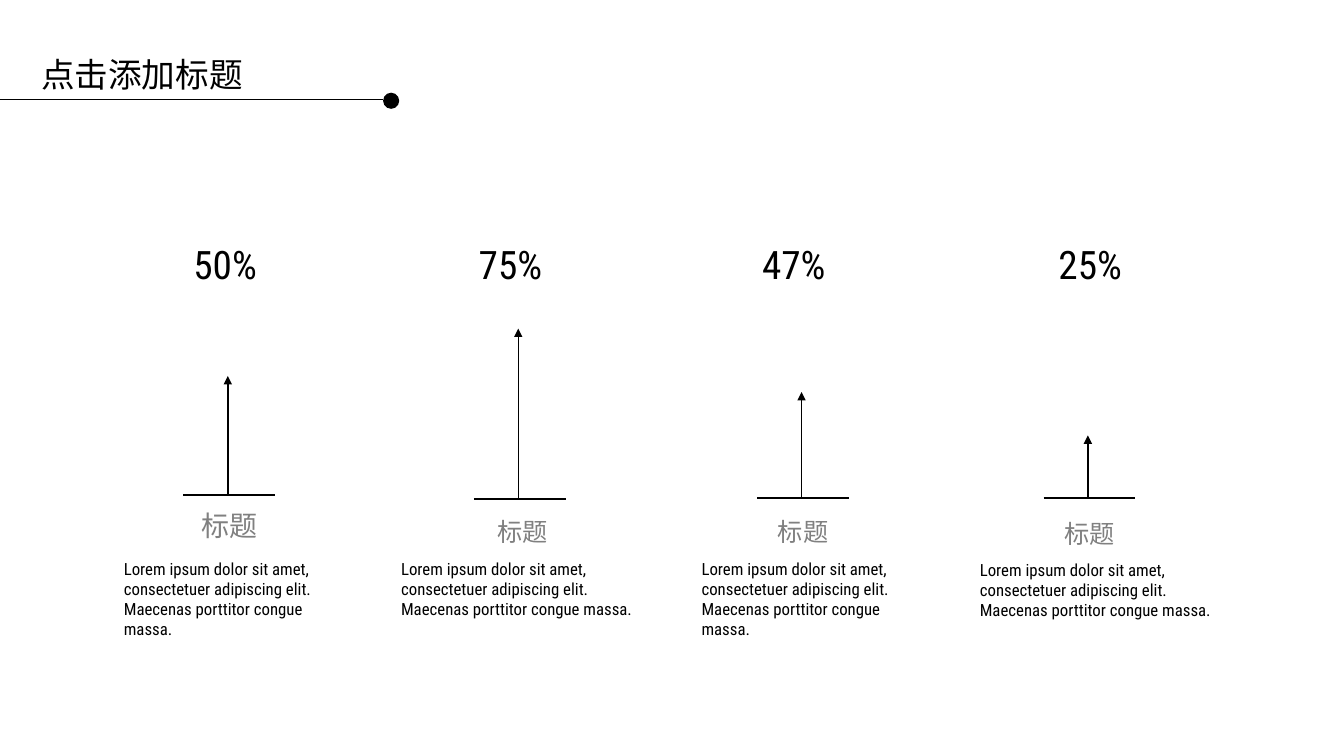
from lxml import etree
from pptx import Presentation
from pptx.dml.color import RGBColor
from pptx.enum.shapes import MSO_CONNECTOR as Connector, MSO_SHAPE as Preset
from pptx.enum.text import MSO_AUTO_SIZE as AutoSize, PP_ALIGN as Align
from pptx.oxml.ns import qn
from pptx.util import Inches, Pt

FONT = "Roboto Condensed"
BLACK, GREY = "000000", "808080"
BODY = ("Lorem ipsum dolor sit amet, consectetuer adipiscing elit. "
        "Maecenas porttitor congue massa.")
HEADING_MARGINS = dict(margin_left=Inches(0.13), margin_right=Inches(0.13),
                       margin_top=Inches(0.07), margin_bottom=Inches(0.07))
BAR_WIDTH, ARROW_OFFSET = 0.91, 0.44

# percentage, its (left, top); bar (left, top), arrow length;
# heading (left, top, width, height), size; body (left, top, width)
COLUMNS = [
    ("50%", (1.82, 2.33), (1.82, 4.91), 1.18, (1.86, 4.97, 0.83, 0.47), 20, (1.13, 5.49, 2.41)),
    ("75%", (4.65, 2.33), (4.70, 4.95), 1.69, (4.80, 5.05, 0.77, 0.44), 18, (3.88, 5.49, 2.60)),
    ("47%", (7.46, 2.33), (7.51, 4.94), 1.05, (7.58, 5.05, 0.77, 0.44), 18, (6.86, 5.49, 2.41)),
    ("25%", (10.40, 2.33), (10.35, 4.94), 0.62, (10.42, 5.07, 0.77, 0.44), 18, (9.62, 5.50, 2.57)),
]


def rgb(value):
    return RGBColor.from_string(value)


class SlideBuilder:
    def __init__(self, slide, font):
        self.shapes = slide.shapes
        self.font = font

    def text(self, words, box, size, color=BLACK, wrap=True, grow=True,
             align=Align.LEFT, before=0, margins=None):
        frame = self.shapes.add_textbox(*map(Inches, box)).text_frame
        settings = dict(word_wrap=wrap,
                        auto_size=AutoSize.SHAPE_TO_FIT_TEXT if grow else AutoSize.NONE,
                        **(margins or {}))
        for name, value in settings.items():
            setattr(frame, name, value)
        paragraph = frame.paragraphs[0]
        paragraph.alignment = align
        paragraph.space_before = Pt(before)
        run = paragraph.add_run()
        run.text = words
        for name, value in dict(name=self.font, size=Pt(size)).items():
            setattr(run.font, name, value)
        run.font.color.rgb = rgb(color)

    def line(self, start, end, width=1, arrow=False, group=None):
        shapes = group.shapes if group else self.shapes
        connector = shapes.add_connector(Connector.STRAIGHT, *map(Inches, (*start, *end)))
        connector.line.color.rgb = rgb(BLACK)
        connector.line.width = Pt(width)
        properties = connector.element.spPr
        if arrow:
            etree.SubElement(properties.find(qn("a:ln")), qn("a:tailEnd"), type="triangle")
        etree.SubElement(properties, qn("a:effectLst"))

    def dot(self, box):
        dot = self.shapes.add_shape(Preset.OVAL, *map(Inches, box))
        dot.shadow.inherit = False
        dot.fill.solid()
        dot.fill.fore_color.rgb = rgb(BLACK)
        dot.line.fill.background()

    def arrow_on_bar(self, left, top, length):
        """Draw a grouped upward arrow standing on a short base line."""
        group = self.shapes.add_group_shape()
        middle = left + ARROW_OFFSET
        self.line((left, top), (left + BAR_WIDTH, top), group=group)
        self.line((middle, top), (middle, top - length), arrow=True, group=group)


def main():
    deck = Presentation()
    deck.slide_width, deck.slide_height = Inches(13.33), Inches(7.5)
    builder = SlideBuilder(deck.slides.add_slide(deck.slide_layouts[6]), FONT)

    for percent, percent_at, bar_at, length, heading_box, heading_size, body_at in COLUMNS:
        builder.text(percent, (*percent_at, 1, 0.41), 28, grow=False, before=2)
        builder.text("标题", heading_box, heading_size, GREY, wrap=False,
                     align=Align.CENTER, margins=HEADING_MARGINS)
        builder.text(BODY, (*body_at, 0.71), 12)
        builder.arrow_on_bar(*bar_at, length)

    builder.dot((3.8, 0.92, 0.16, 0.16))
    builder.line((-0.03, 0.99), (3.8, 0.99), width=0.75)
    builder.text("点击添加标题", (0.31, 0.49, 3.46, 0.5), 24)
    deck.save("out.pptx")


if __name__ == "__main__":
    main()
